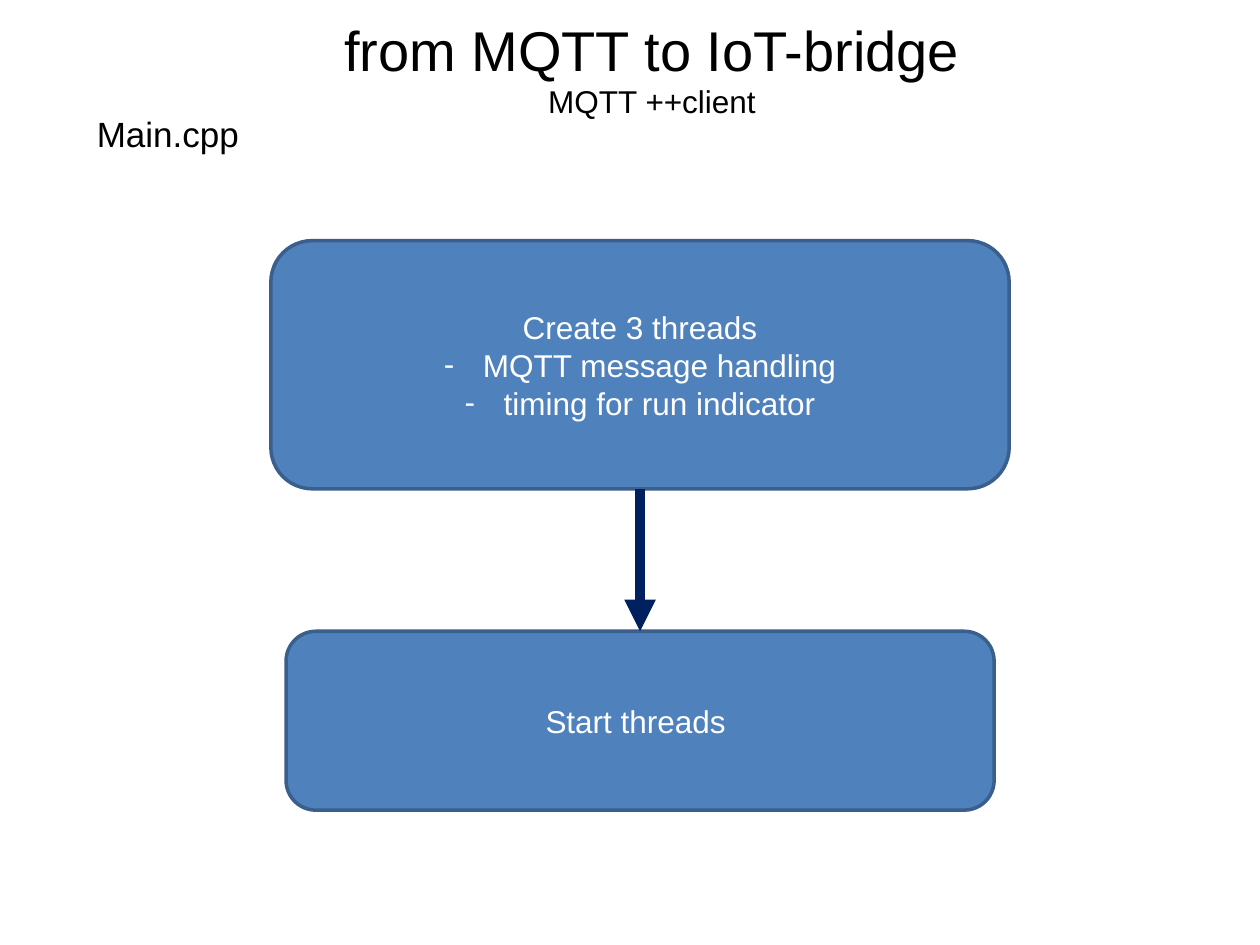
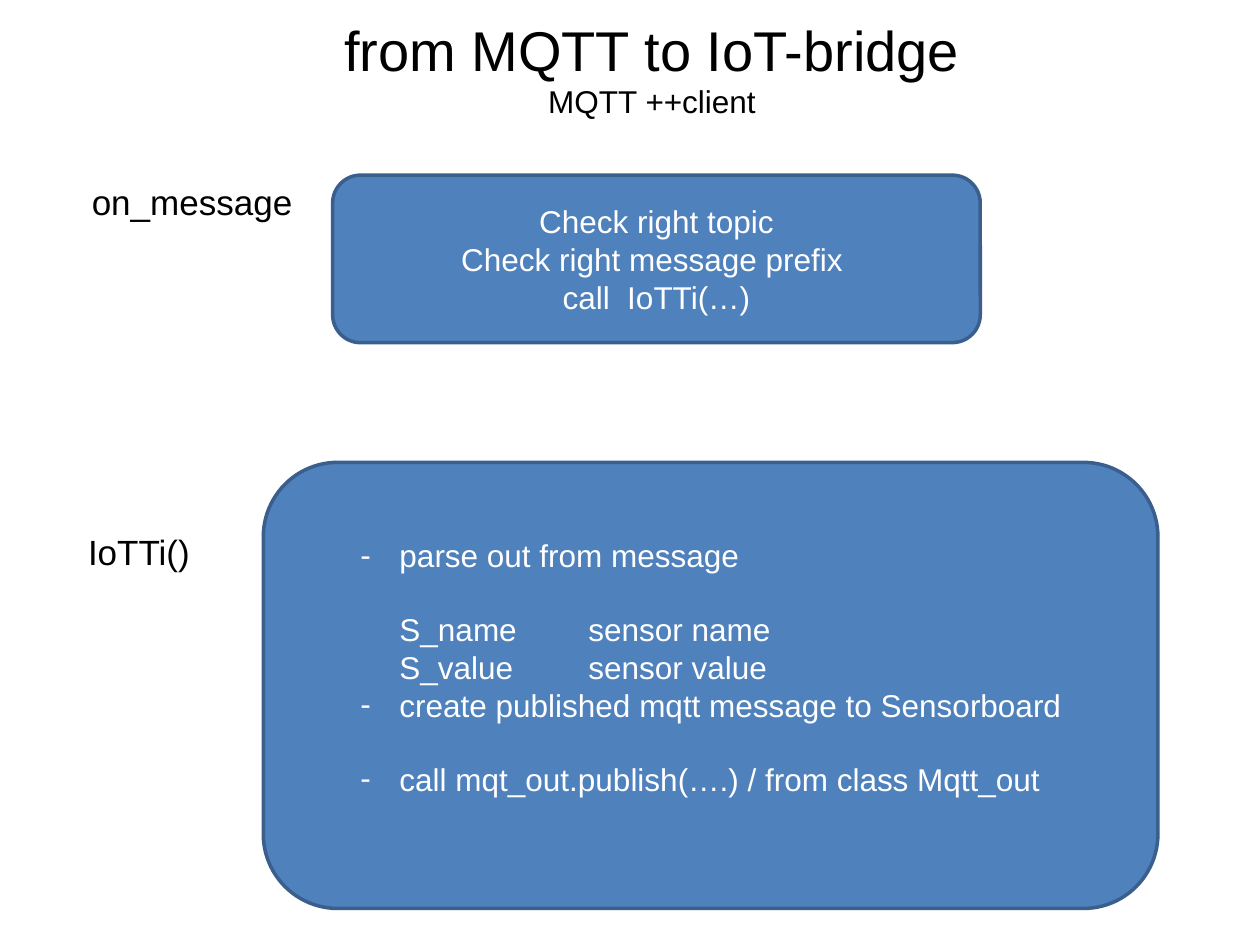
from lxml.etree import SubElement
from pptx import Presentation
from pptx.dml.color import RGBColor
from pptx.enum.shapes import MSO_CONNECTOR, MSO_SHAPE
from pptx.enum.text import MSO_ANCHOR, MSO_AUTO_SIZE, PP_ALIGN
from pptx.oxml.ns import qn
from pptx.util import Inches, Pt

FONT = "Arial"
BLACK = RGBColor(0x00, 0x00, 0x00)
WHITE = RGBColor(0xFF, 0xFF, 0xFF)
BOX_FILL = RGBColor(0x4F, 0x81, 0xBD)
BOX_LINE = RGBColor(0x3A, 0x5F, 0x8C)
ARROW_COLOR = RGBColor(0x00, 0x20, 0x60)
TITLE_ONLY = 5
BULLET_HANG = 0.31
LINE_GAP = Pt(20.7)


def add_run(paragraph, text, size, color):
    run = paragraph.add_run()
    run.text = text
    run.font.name = FONT
    run.font.size = Pt(size)
    run.font.color.rgb = color


def set_indent(paragraph, margin, dashed):
    properties = paragraph._p.get_or_add_pPr()
    properties.set("marL", str(Inches(margin)))
    if dashed:
        properties.set("indent", str(-Inches(BULLET_HANG)))
        SubElement(properties, qn("a:buFont")).set("typeface", FONT)
        SubElement(properties, qn("a:buChar")).set("char", "-")


def add_titled_slide(presentation):
    slide = presentation.slides.add_slide(presentation.slide_layouts[TITLE_ONLY])
    title = slide.shapes.title
    title.left, title.top = Inches(0.64), Inches(0.07)
    title.width, title.height = Inches(9.07), Inches(0.92)
    frame = title.text_frame
    frame.auto_size = MSO_AUTO_SIZE.NONE
    frame.vertical_anchor = MSO_ANCHOR.TOP
    paragraph = frame.paragraphs[0]
    paragraph.alignment = PP_ALIGN.CENTER
    paragraph.space_before = Pt(3)
    add_run(paragraph, "from MQTT to IoT-bridge", 32, BLACK)
    paragraph.add_line_break()
    add_run(paragraph, "MQTT ++client", 18, BLACK)
    return slide


def add_label(slide, text, left, top, width):
    label = slide.shapes.add_textbox(
        Inches(left), Inches(top), Inches(width), Inches(0.44))
    label.text_frame.word_wrap = True
    paragraph = label.text_frame.paragraphs[0]
    paragraph.space_before = Pt(2)
    add_run(paragraph, text, 20, BLACK)


def add_box(slide, left, top, width, height):
    box = slide.shapes.add_shape(
        MSO_SHAPE.ROUNDED_RECTANGLE,
        Inches(left), Inches(top), Inches(width), Inches(height))
    box.shadow.inherit = False
    box.fill.solid()
    box.fill.fore_color.rgb = BOX_FILL
    box.line.color.rgb = BOX_LINE
    box.line.width = Pt(2)
    box.text_frame.word_wrap = True
    box.text_frame.vertical_anchor = MSO_ANCHOR.MIDDLE
    return box


def write_lines(box, lines, alignment=PP_ALIGN.CENTER, margin=BULLET_HANG):
    frame = box.text_frame
    for index, (text, indented, dashed, gap) in enumerate(lines):
        paragraph = frame.add_paragraph() if index else frame.paragraphs[0]
        paragraph.alignment = alignment
        if gap:
            paragraph.space_before = LINE_GAP
        if indented:
            set_indent(paragraph, margin, dashed)
        add_run(paragraph, text, 18, WHITE)


def plain(text):
    return text, False, False, False


def dash(text, gap=False):
    return text, True, True, gap


def detail(text, gap=False):
    return text, True, False, gap


def add_arrow(slide, upper_box, lower_box):
    arrow = slide.shapes.add_connector(MSO_CONNECTOR.STRAIGHT, 0, 0, 0, 0)
    arrow.begin_connect(upper_box, 2)
    arrow.end_connect(lower_box, 0)
    arrow.line.color.rgb = ARROW_COLOR
    arrow.line.width = Pt(6)
    SubElement(arrow.line._get_or_add_ln(), qn("a:tailEnd")).set("type", "triangle")
    SubElement(arrow._element.spPr, qn("a:effectLst"))


def build_main_slide(presentation):
    slide = add_titled_slide(presentation)
    add_label(slide, "Main.cpp", 0.67, 0.84, 1.73)
    create_box = add_box(slide, 2.15, 1.91, 5.86, 1.97)
    write_lines(create_box, [
        plain("Create 3 threads"),
        dash("MQTT message handling"),
        dash("timing for run indicator"),
    ])
    start_box = add_box(slide, 2.27, 5.01, 5.62, 1.42)
    write_lines(start_box, [plain("Start threads ")])
    add_arrow(slide, create_box, start_box)


def build_message_slide(presentation):
    slide = add_titled_slide(presentation)
    add_label(slide, "on_message", 0.63, 1.38, 2.52)
    check_box = add_box(slide, 2.64, 1.39, 5.14, 1.33)
    write_lines(check_box, [
        plain("Check right topic"),
        plain("Check right message prefix "),
        plain("call  IoTTi(…)"),
    ])
    add_label(slide, "IoTTi()", 0.6, 4.16, 2.52)
    publish_box = add_box(slide, 2.09, 3.67, 7.1, 3.54)
    publish_box.text_frame.margin_bottom = Inches(0.34)
    write_lines(publish_box, [
        dash("parse out from message"),
        detail("S_name\t\tsensor name", gap=True),
        detail("S_value\t\tsensor value"),
        dash("create published mqtt message to Sensorboard"),
        dash("call mqt_out.publish(….) / from class Mqtt_out", gap=True),
    ], PP_ALIGN.LEFT, 0.81)


def main():
    presentation = Presentation()
    presentation.slide_width = Inches(10)
    presentation.slide_height = Inches(7.5)
    build_main_slide(presentation)
    build_message_slide(presentation)
    presentation.save("out.pptx")


if __name__ == "__main__":
    main()
